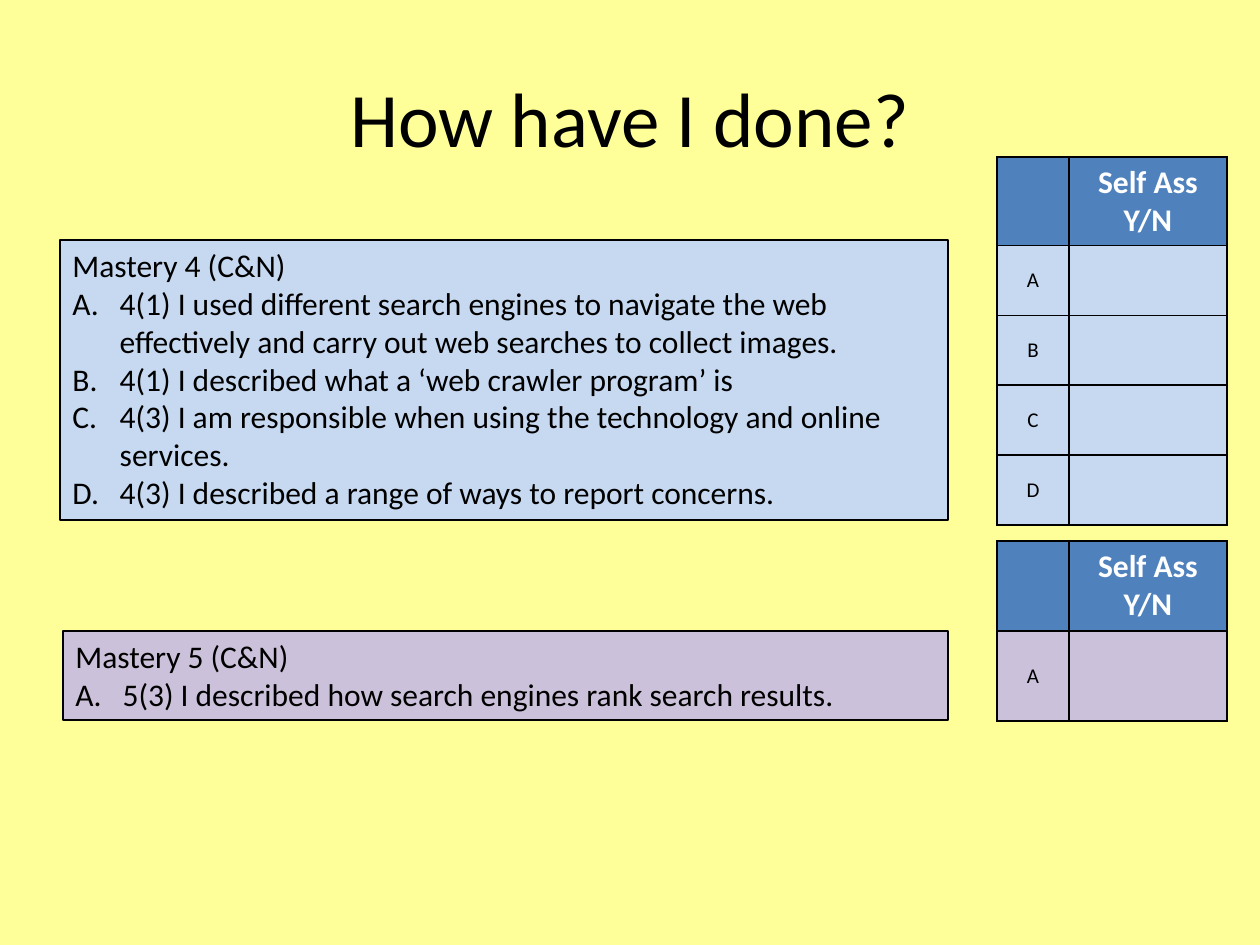
from lxml.etree import SubElement
from pptx import Presentation
from pptx.dml.color import RGBColor
from pptx.enum.shapes import MSO_SHAPE as Shape
from pptx.enum.text import MSO_ANCHOR as Anchor, PP_ALIGN as Align
from pptx.oxml.ns import qn
from pptx.util import Pt

PIXEL = 914400 // 126
BLACK, WHITE, HEADER_BLUE = "000000", "FFFFFF", "4F81BD"
MASTERY_4_BLUE, MASTERY_5_PURPLE = "C6D9F1", "CCC1DA"


def px(*lengths):
    """Turn whole pixels into EMU."""
    return [length * PIXEL for length in lengths]


def paint(target, color):
    """Give a fill-bearing object a solid colour."""
    target.fill.solid()
    target.fill.fore_color.rgb = RGBColor.from_string(color)


def write(frame, text, size, color=BLACK, bold=False, align=Align.LEFT):
    """Write text into a frame, one paragraph per line."""
    frame.text = text
    for paragraph in frame.paragraphs:
        paragraph.alignment = align
        for run in paragraph.runs:
            run.font.name = "Calibri"
            run.font.size = Pt(size)
            run.font.bold = bold
            run.font.color.rgb = RGBColor.from_string(color)


def letter(paragraph):
    """Number a paragraph A., B., C. with a hanging indent."""
    props = paragraph._p.get_or_add_pPr()
    props.set("marL", "342900")
    props.set("indent", "-342900")
    SubElement(props, qn("a:buFont"), typeface="+mj-lt")
    SubElement(props, qn("a:buAutoNum"), type="alphaUcPeriod")


def add_title(slide, text, box):
    """Add the centred slide title."""
    frame = slide.shapes.add_textbox(*px(*box)).text_frame
    frame.word_wrap = True
    frame.vertical_anchor = Anchor.MIDDLE
    write(frame, text, 44, align=Align.CENTER)


def add_criteria(slide, box, color, heading, criteria):
    """Add a box with a heading and lettered criteria."""
    panel = slide.shapes.add_shape(Shape.RECTANGLE, *px(*box))
    panel.shadow.inherit = False
    paint(panel, color)
    panel.line.color.rgb = RGBColor.from_string(BLACK)
    panel.line.width = Pt(0.75)
    frame = panel.text_frame
    frame.word_wrap = True
    frame.vertical_anchor = Anchor.TOP
    write(frame, "\n".join([heading, *criteria]), 18)
    for paragraph in frame.paragraphs[1:]:
        letter(paragraph)


def style_cell(cell, color):
    """Give a cell black borders and a fill."""
    props = cell._tc.get_or_add_tcPr()
    for side in ("lnL", "lnR", "lnT", "lnB"):
        border = SubElement(props, qn(f"a:{side}"), w=str(Pt(1)))
        solid = SubElement(border, qn("a:solidFill"))
        SubElement(solid, qn("a:srgbClr"), val=BLACK)
    paint(cell, color)


def add_assessment(slide, top, header_height, row_height, color, letters):
    """Add a self-assessment table with one row per criterion."""
    columns = (72, 158)
    heights = [header_height] + [row_height] * len(letters)
    table = slide.shapes.add_table(
        len(heights), len(columns), *px(997, top, sum(columns), sum(heights))).table
    for column, width in zip(table.columns, px(*columns)):
        column.width = width
    for row, height in zip(table.rows, px(*heights)):
        row.height = height
    for index, row in enumerate(table.rows):
        for cell in row.cells:
            style_cell(cell, color if index else HEADER_BLUE)
    write(table.cell(0, 1).text_frame, "Self Ass\nY/N", 18, WHITE, True, Align.CENTER)
    for index, name in enumerate(letters, 1):
        cell = table.cell(index, 0)
        cell.vertical_anchor = Anchor.MIDDLE
        write(cell.text_frame, name, 12, align=Align.CENTER)


def main():
    """Build the self-assessment slide."""
    deck = Presentation()
    deck.slide_width, deck.slide_height = px(1260, 945)
    slide = deck.slides.add_slide(deck.slide_layouts[6])
    paint(slide.background, "FFFF99")
    add_title(slide, "How have I done?", (63, 38, 1134, 158))
    add_criteria(slide, (60, 240, 888, 280), MASTERY_4_BLUE, "Mastery 4 (C&N)", [
        "4(1) I used different search engines to navigate the web "
        "effectively and carry out web searches to collect images.",
        "4(1) I described what a ‘web crawler program’ is",
        "4(3) I am responsible when using the technology and online services.",
        "4(3) I described a range of ways to report concerns.",
    ])
    add_criteria(slide, (63, 631, 885, 89), MASTERY_5_PURPLE, "Mastery 5 (C&N)", [
        "5(3) I described how search engines rank search results.",
    ])
    add_assessment(slide, 157, 88, 70, MASTERY_4_BLUE, "ABCD")
    add_assessment(slide, 541, 90, 90, MASTERY_5_PURPLE, "A")
    deck.save("out.pptx")


main()
